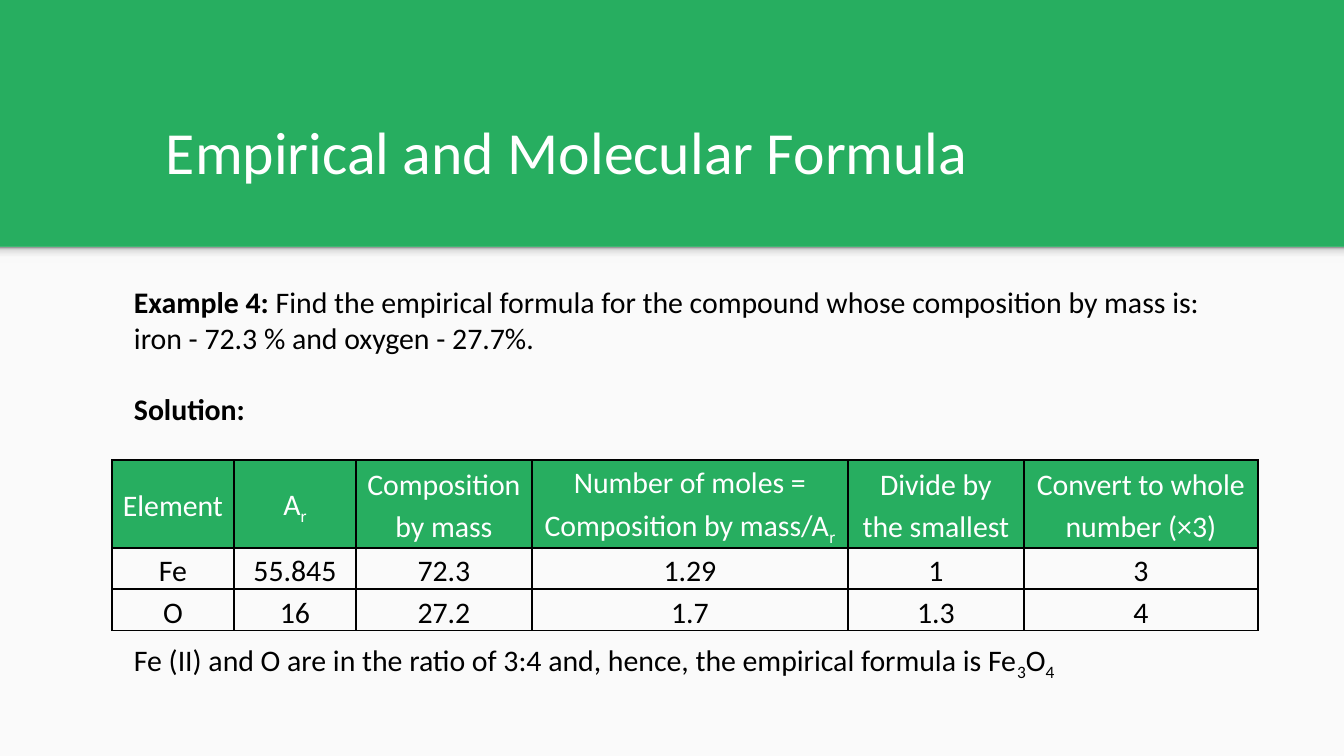
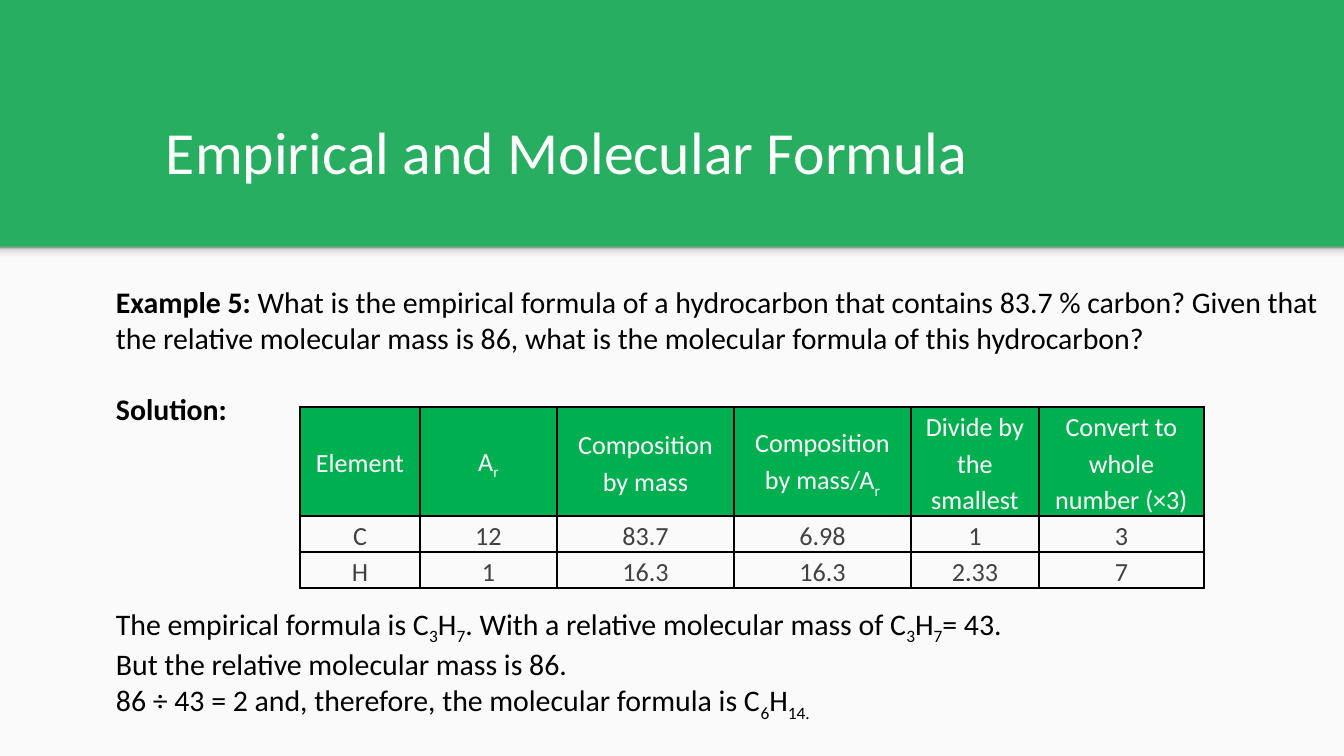
"""Builds two worked examples on empirical and molecular formulas."""
from lxml import etree
from pptx import Presentation
from pptx import util as u
from pptx.dml.color import RGBColor
from pptx.enum import shapes, text
from pptx.oxml import ns, parse_xml

COLOURS = {
    "green": "27AE60", "bright_green": "00B050", "paper": "FAFAFA",
    "white": "FFFFFF", "black": "000000", "grey": "424242",
}
SHADOW_STOPS = [(0, "F9F9F9"), (36, "F9F9F9"), (80, "DEDEDE"), (100, "999999")]
FONT = "Calibri"
TITLE = "Empirical and Molecular Formula"
WIDTH, HEIGHT, BAND_BOTTOM = 1344, 756, 247
INSET = 13
BODY_TOP, BODY_SIZE = 271, 16


def px(length):
    """Turn pixels into EMU."""
    return u.Emu(round(length * 914400 / 134.4))


def colour(name):
    """Look up a named colour."""
    return RGBColor.from_string(COLOURS[name])


def add_run(paragraph, words, size, ink, bold=False, subscript=False):
    """Append one formatted run."""
    run = paragraph.add_run()
    run.text = words
    run.font.name = FONT
    run.font.size = u.Pt(size)
    run.font.bold = bold
    run.font.color.rgb = colour(ink)
    if subscript:
        run.font._element.set("baseline", "-25000")


def write(paragraph, words, size, ink):
    """Write words in which underscores enclose subscripts."""
    for index, part in enumerate(words.split("_")):
        if part:
            add_run(paragraph, part, size, ink, subscript=index % 2 == 1)


def add_rectangle(slide, top, height):
    """Add a plain rectangle as wide as the slide."""
    shape = slide.shapes.add_shape(
        shapes.MSO_SHAPE.RECTANGLE, 0, px(top), px(WIDTH), px(height))
    shape.shadow.inherit = False
    shape.line.fill.background()
    shape.fill.solid()
    shape.fill.fore_color.rgb = colour("paper")
    return shape


def add_gradient(shape):
    """Replace a solid fill by the fading band shadow."""
    stops = "".join(
        f'<a:gs pos="{position * 1000}"><a:srgbClr val="{value}"/></a:gs>'
        for position, value in SHADOW_STOPS)
    gradient = parse_xml(
        f'<a:gradFill {ns.nsdecls("a")}><a:gsLst>{stops}</a:gsLst>'
        '<a:lin ang="16200000" scaled="0"/></a:gradFill>')
    properties = shape._element.spPr
    properties.replace(properties.find(ns.qn("a:solidFill")), gradient)


def add_text_frame(slide, left, top, width, height):
    """Add a wrapping text box and return its frame."""
    box = slide.shapes.add_textbox(px(left), px(top), px(width), px(height))
    frame = box.text_frame
    frame.word_wrap = True
    frame.margin_left = frame.margin_right = px(INSET)
    frame.margin_top = frame.margin_bottom = px(INSET)
    return frame


def add_example_slide(presentation):
    """Add a slide with the green band, its shadow and the title."""
    slide = presentation.slides.add_slide(presentation.slide_layouts[6])
    slide.background.fill.solid()
    slide.background.fill.fore_color.rgb = colour("green")
    add_rectangle(slide, BAND_BOTTOM, HEIGHT - BAND_BOTTOM)
    add_gradient(add_rectangle(slide, BAND_BOTTOM, 16))
    frame = add_text_frame(slide, 137, 87, 1095, 113)
    frame.vertical_anchor = text.MSO_ANCHOR.BOTTOM
    paragraph = frame.paragraphs[0]
    paragraph._p.get_or_add_pPr().set("marL", str(px(16)))
    write(paragraph, TITLE, 32, "white")
    return slide


def add_body(slide, left, width, height, lines):
    """Add paragraphs given as gap above, bold lead and remaining words."""
    frame = add_text_frame(slide, left, BODY_TOP, width, height)
    for index, (gap, lead, words) in enumerate(lines):
        paragraph = frame.add_paragraph() if index else frame.paragraphs[0]
        paragraph.space_before = px(gap)
        if lead:
            add_run(paragraph, lead, BODY_SIZE, "black", bold=True)
        write(paragraph, words, BODY_SIZE, "black")


def add_borders(cell):
    """Draw a one-point black line on each side of a cell."""
    properties = cell._tc.get_or_add_tcPr()
    for index, side in enumerate(("lnL", "lnR", "lnT", "lnB")):
        line = etree.Element(ns.qn(f"a:{side}"), w=str(u.Pt(1)))
        fill = etree.SubElement(line, ns.qn("a:solidFill"))
        etree.SubElement(fill, ns.qn("a:srgbClr"), val=COLOURS["black"])
        properties.insert(index, line)


def format_cell(cell, words, size, ink, fill, margin, anchor):
    """Write and format one table cell."""
    cell.margin_left = cell.margin_right = px(margin)
    cell.margin_top = cell.margin_bottom = 0
    cell.vertical_anchor = anchor
    if fill:
        cell.fill.solid()
        cell.fill.fore_color.rgb = colour(fill)
    else:
        cell.fill.background()
    add_borders(cell)
    paragraph = cell.text_frame.paragraphs[0]
    paragraph.alignment = text.PP_ALIGN.CENTER
    paragraph.line_spacing = 1.15
    write(paragraph, words, size, ink)


def add_mole_table(slide, left, top, widths, heights, rows, size, header_fill,
                   ink, margin, body_anchor):
    """Add a table with a filled header row."""
    table = slide.shapes.add_table(
        len(rows), len(widths), px(left), px(top),
        px(sum(widths)), px(sum(heights))).table
    table.first_row = table.horz_banding = False
    for column, width in zip(table.columns, widths):
        column.width = px(width)
    for index, (row, height, values) in enumerate(zip(table.rows, heights, rows)):
        row.height = px(height)
        for cell, words in zip(row.cells, values):
            if index == 0:
                format_cell(cell, words, size, "white", header_fill, margin,
                            text.MSO_ANCHOR.MIDDLE)
            else:
                format_cell(cell, words, size, ink, None, margin, body_anchor)


def header(moles):
    """Return the column headings around the given moles heading."""
    return ["Element", "A_r_", "Composition by mass", moles,
            "Divide by the smallest", "Convert to whole number (×3)"]


def build_iron_oxide(presentation):
    """Build example 4."""
    slide = add_example_slide(presentation)
    add_body(slide, 121, 1133, 446, [
        (0, "Example 4:", " Find the empirical formula for the compound whose "
         "composition by mass is: iron - 72.3 % and oxygen - 27.7%."),
        (35, "Solution:", ""),
        (215, "", "Fe (II) and O are in the ratio of 3:4 and, hence, the "
         "empirical formula is Fe_3_O_4_"),
    ])
    add_mole_table(
        slide, 112, 460, [122, 122, 176, 316, 176, 234], [74, 28, 28],
        [header("Number of moles = Composition by mass/A_r_"),
         ["Fe", "55.845", "72.3", "1.29", "1", "3"],
         ["O", "16", "27.2", "1.7", "1.3", "4"]],
        16, "green", "black", 9, text.MSO_ANCHOR.TOP)


def build_hydrocarbon(presentation):
    """Build example 5."""
    slide = add_example_slide(presentation)
    add_body(slide, 103, 1230, 450, [
        (0, "Example 5:", " What is the empirical formula of a hydrocarbon that "
         "contains 83.7 % carbon? Given that the relative molecular mass is 86, "
         "what is the molecular formula of this hydrocarbon?"),
        (35, "Solution:", ""),
        (179, "", "The empirical formula is C_3_H_7_. With a relative molecular "
         "mass of C_3_H_7_= 43."),
        (0, "", "But the relative molecular mass is 86."),
        (0, "", "86 ÷ 43 = 2 and, therefore, the molecular formula is C_6_H_14._"),
    ])
    add_mole_table(
        slide, 300, 407, [120, 137, 177, 177, 128, 165], [109, 26, 30],
        [header("Composition by mass/A_r_"),
         ["C", "12", "83.7", "6.98", "1", "3"],
         ["H", "1", "16.3", "16.3", "2.33", "7"]],
        14, "bright_green", "grey", 8, text.MSO_ANCHOR.MIDDLE)


def main():
    """Build and save the presentation."""
    presentation = Presentation()
    presentation.slide_width = px(WIDTH)
    presentation.slide_height = px(HEIGHT)
    build_iron_oxide(presentation)
    build_hydrocarbon(presentation)
    presentation.save("out.pptx")


if __name__ == "__main__":
    main()
